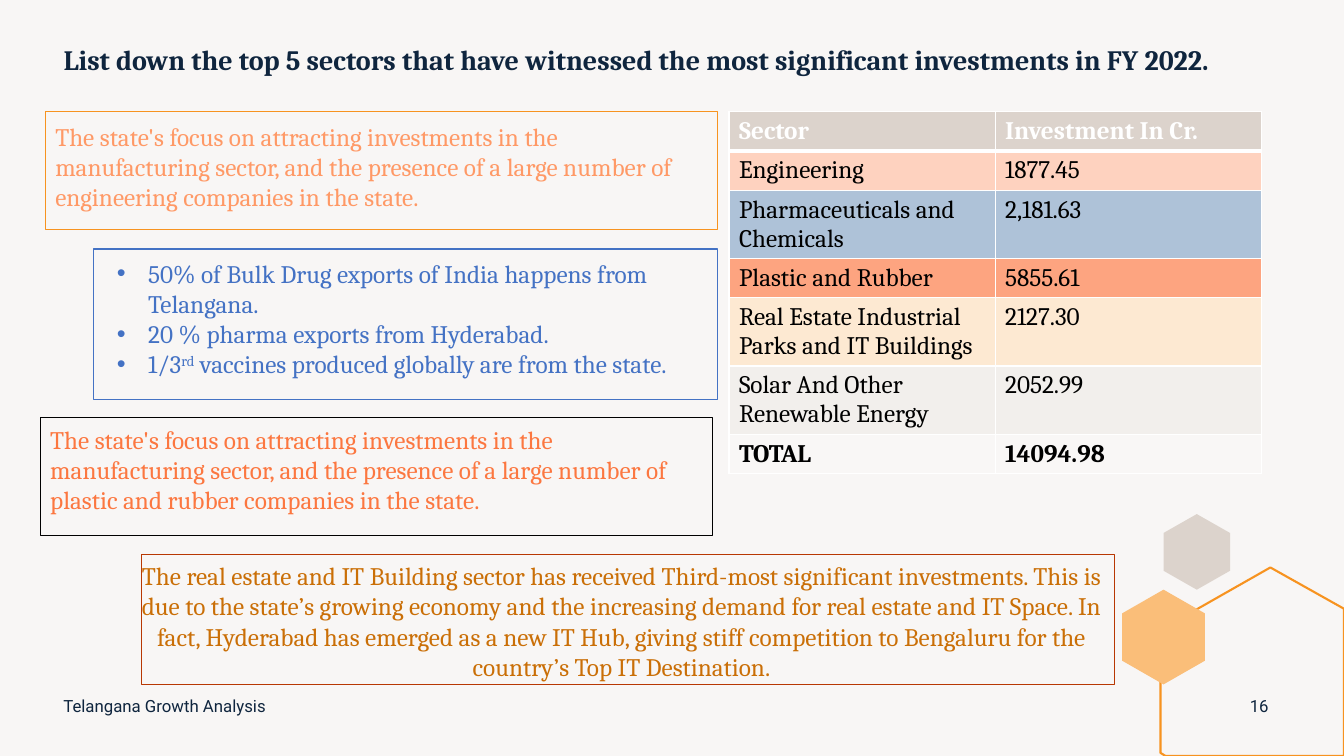
from dataclasses import dataclass

from lxml import etree
from pptx import Presentation
from pptx.dml.color import RGBColor
from pptx.enum.shapes import MSO_SHAPE
from pptx.enum.text import MSO_ANCHOR, MSO_AUTO_SIZE, PP_ALIGN
from pptx.oxml.ns import qn
from pptx.util import Inches, Pt

RECTANGLE = MSO_SHAPE.RECTANGLE
TOP, MIDDLE = MSO_ANCHOR.TOP, MSO_ANCHOR.MIDDLE
LEFT, CENTER = PP_ALIGN.LEFT, PP_ALIGN.CENTER
NO_AUTOFIT = MSO_AUTO_SIZE.NONE
TITLE_AND_CONTENT = 1


@dataclass(frozen=True)
class Theme:
    serif: str = "Cambria"
    sans: str = "Roboto"
    title_size: int = 20
    body_size: int = 18
    footer_size: int = 12
    background: str = "F8F6F5"
    navy: str = "0F253E"
    black: str = "000000"
    white: str = "FFFFFF"
    stone: str = "DCD3CC"
    orange: str = "F79320"
    apricot: str = "FABE79"
    engineering: str = "FF9966"
    pharma: str = "4472C4"
    plastic: str = "FC7740"
    real_estate: str = "CA6F07"
    rust: str = "B83803"
    row_fills: tuple = ("DCD3CC", "FED2BF", "AEC2D8", "FDA480",
                        "FDE9D2", "F2EFEC", "F9F7F6")


def rgb(color):
    return RGBColor.from_string(color)


def write_text(frame, paragraphs, *, font, size, color, bold=False, align=LEFT,
               anchor=TOP, bullet=None, indent=0.31, line_spacing=None):
    """Fill a frame; a paragraph is a string or a list of (text, baseline) runs."""
    frame.word_wrap = True
    frame.auto_size = NO_AUTOFIT
    frame.vertical_anchor = anchor
    for index, content in enumerate(paragraphs):
        paragraph = frame.paragraphs[0] if index == 0 else frame.add_paragraph()
        paragraph.alignment = align
        paragraph.space_before = Pt(0)
        if line_spacing:
            paragraph.line_spacing = line_spacing
        if bullet:
            properties = paragraph._p.get_or_add_pPr()
            properties.set("marL", str(Inches(indent)))
            properties.set("indent", str(-Inches(indent)))
            etree.SubElement(properties, qn("a:buFont"), typeface="Arial")
            etree.SubElement(properties, qn("a:buChar"), char=bullet)
        runs = [(content, 0)] if isinstance(content, str) else content
        for text, baseline in runs:
            run = paragraph.add_run()
            run.text = text
            run.font.name = font
            run.font.size = Pt(size)
            run.font.bold = bold
            run.font.color.rgb = rgb(color)
            if baseline:
                run.font._element.set("baseline", str(baseline * 1000))


def set_borders(cell, color, bottom_width):
    properties = cell._tc.get_or_add_tcPr()
    for side, width in (("L", 1), ("R", 1), ("T", 1), ("B", bottom_width)):
        border = etree.SubElement(properties, qn(f"a:ln{side}"), w=str(Pt(width)))
        fill = etree.SubElement(border, qn("a:solidFill"))
        etree.SubElement(fill, qn("a:srgbClr"), val=color)


class SlideBuilder:
    def __init__(self, slide, theme):
        self.slide = slide
        self.theme = theme
        background = slide.background.fill
        background.solid()
        background.fore_color.rgb = rgb(theme.background)

    def style(self, shape, fill=None, line=None, width=0.75):
        shape.shadow.inherit = False
        if fill:
            shape.fill.solid()
            shape.fill.fore_color.rgb = rgb(fill)
        else:
            shape.fill.background()
        if line:
            shape.line.color.rgb = rgb(line)
            shape.line.width = Pt(width)
        else:
            shape.line.fill.background()

    def polygon(self, points, **look):
        corners = [(Inches(x), Inches(y)) for x, y in points]
        builder = self.slide.shapes.build_freeform(*corners[0])
        builder.add_line_segments(corners[1:], close=True)
        self.style(builder.convert_to_shape(), **look)

    def hexagon(self, left, top, width, height, **look):
        """Draw a hexagon that stands on a corner."""
        middle, right = left + width / 2, left + width
        upper, lower = top + height / 4, top + height * 3 / 4
        self.polygon([(middle, top), (right, upper), (right, lower),
                      (middle, top + height), (left, lower), (left, upper)], **look)

    def frame(self, left, top, width, height, line):
        shape = self.slide.shapes.add_shape(
            RECTANGLE, Inches(left), Inches(top), Inches(width), Inches(height))
        self.style(shape, line=line)

    def text(self, content, left, top, width, height, **text_format):
        box = self.slide.shapes.add_textbox(
            Inches(left), Inches(top), Inches(width), Inches(height))
        write_text(box.text_frame, [content], **text_format)

    def placeholder(self, index, paragraphs, left, top, width, height, **text_format):
        holder = self.slide.placeholders[index]
        holder.left, holder.top = Inches(left), Inches(top)
        holder.width, holder.height = Inches(width), Inches(height)
        write_text(holder.text_frame, paragraphs, **text_format)

    def table(self, rows, left, top, column_width, row_heights):
        theme = self.theme
        columns = len(rows[0])
        table = self.slide.shapes.add_table(
            len(rows), columns, Inches(left), Inches(top),
            Inches(column_width * columns), Inches(sum(row_heights))).table
        table.horz_banding = False
        for column in table.columns:
            column.width = Inches(column_width)
        last = len(rows) - 1
        for r, values in enumerate(rows):
            table.rows[r].height = Inches(row_heights[r])
            for c, value in enumerate(values):
                cell = table.cell(r, c)
                set_borders(cell, theme.white, 3 if r == 0 else 1)
                cell.fill.solid()
                cell.fill.fore_color.rgb = rgb(theme.row_fills[r])
                write_text(cell.text_frame, [value], font=theme.serif,
                           size=theme.body_size, bold=r in (0, last),
                           color=theme.white if r == 0 else theme.black)


def main():
    theme = Theme()
    presentation = Presentation()
    presentation.slide_width, presentation.slide_height = Inches(13.33), Inches(7.5)
    layout = presentation.slide_layouts[TITLE_AND_CONTENT]
    page = SlideBuilder(presentation.slides.add_slide(layout), theme)
    body = {"font": theme.serif, "size": theme.body_size}
    footer = {"font": theme.sans, "size": theme.footer_size,
              "color": theme.navy, "anchor": MIDDLE}

    page.hexagon(11.54, 5.1, 0.66, 0.75, fill=theme.stone)
    page.polygon([(12.6, 5.63), (13.33, 6.04), (13.33, 7.5), (11.56, 7.5),
                  (11.51, 7.47), (11.51, 6.25)], line=theme.orange, width=1.5)
    page.hexagon(11.13, 5.85, 0.82, 0.94, fill=theme.apricot)

    page.placeholder(
        0, ["List down the top 5 sectors that have witnessed the most significant "
            "investments in FY 2022."],
        0.53, 0.41, 11.91, 0.57, font=theme.serif, size=theme.title_size,
        color=theme.navy, bold=True, line_spacing=0.9)
    page.text("Telangana Growth Analysis", 0.53, 6.8, 4.5, 0.4, **footer)
    page.text("16", 12.24, 6.8, 0.5, 0.4, align=CENTER, **footer)

    page.table([("Sector", "Investment In Cr."),
                ("Engineering", "1877.45"),
                ("Pharmaceuticals and Chemicals", "2,181.63"),
                ("Plastic and Rubber", "5855.61"),
                ("Real Estate Industrial Parks and IT Buildings", "2127.30"),
                ("Solar And Other Renewable Energy", "2052.99"),
                ("TOTAL", "14094.98")],
               7.23, 1.11, 2.64, (0.38, 0.38, 0.65, 0.38, 0.65, 0.65, 0.38))

    focus = ("The state's focus on attracting investments in the manufacturing sector, "
             "and the presence of a large number of {} companies in the state.")
    page.text(focus.format("engineering"), 0.45, 1.15, 6.67, 1.01,
              color=theme.engineering, **body)
    page.text(focus.format("plastic and rubber"), 0.4, 4.15, 6.77, 1.01,
              color=theme.plastic, anchor=MIDDLE, **body)
    page.placeholder(
        1, ["50% of Bulk Drug exports of India happens from Telangana.",
            "20 % pharma exports from Hyderabad.",
            [("1/3", 0), ("rd", 30), (" vaccines produced globally are from the state.", 0)]],
        1.06, 2.51, 6.27, 1.62, color=theme.pharma, bullet="•", **body)
    page.text("The real estate and IT Building sector has received Third-most significant "
              "investments. This is due to the state’s growing economy and the increasing "
              "demand for real estate and IT Space. In fact, Hyderabad has emerged as a new "
              "IT Hub, giving stiff competition to Bengaluru for the country’s Top IT "
              "Destination.",
              1.28, 5.51, 9.77, 1.62, color=theme.real_estate, align=CENTER, **body)

    for left, top, width, height, line in (
            (0.45, 1.11, 6.67, 1.17, theme.orange),
            (0.4, 4.14, 6.67, 1.17, theme.black),
            (0.93, 2.47, 6.19, 1.49, theme.pharma),
            (1.4, 5.5, 9.65, 1.29, theme.rust)):
        page.frame(left, top, width, height, line)

    presentation.save("out.pptx")


if __name__ == "__main__":
    main()
